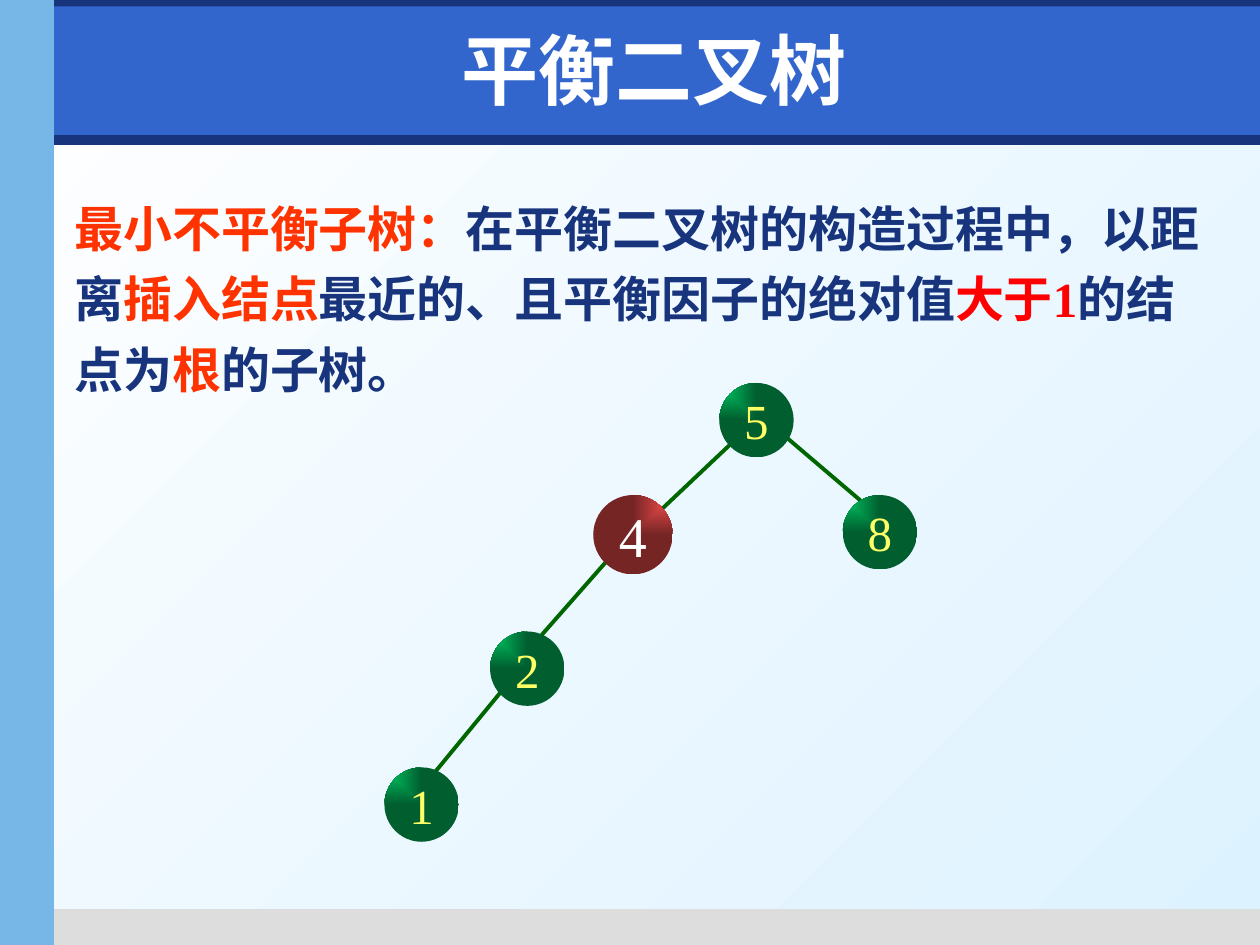
"""Build a slide defining the smallest unbalanced subtree of a balanced binary tree."""
import pptx
import pptx.dml.color
import pptx.enum.shapes
import pptx.enum.text
import pptx.oxml
import pptx.oxml.ns
import pptx.util

Cm = pptx.util.Cm
Pt = pptx.util.Pt
RGBColor = pptx.dml.color.RGBColor
MSO_SHAPE = pptx.enum.shapes.MSO_SHAPE
qn = pptx.oxml.ns.qn

NAVY = RGBColor(0x17, 0x34, 0x7D)
BLUE = RGBColor(0x33, 0x66, 0xCC)
SKY = RGBColor(0x77, 0xB7, 0xE7)
PALE = RGBColor(0xDD, 0xF2, 0xFF)
GRAY = RGBColor(0xDD, 0xDD, 0xDD)
WHITE = RGBColor(0xFF, 0xFF, 0xFF)
ORANGE = RGBColor(0xFF, 0x33, 0x00)
RED = RGBColor(0xFF, 0x00, 0x00)
YELLOW = RGBColor(0xFF, 0xFF, 0x66)
EDGE_GREEN = RGBColor(0x00, 0x66, 0x00)
LIGHT_GREEN = RGBColor(0x00, 0xCC, 0x66)
DARK_GREEN = RGBColor(0x00, 0x5E, 0x2F)
LIGHT_RED = RGBColor(0xFF, 0x50, 0x50)
DARK_RED = RGBColor(0x76, 0x25, 0x25)
CJK = "Noto Sans CJK SC"
SERIF = "Times New Roman"


def style_span(span, size, color, latin, bold):
    font = span.font
    font.size, font.bold, font.name = Pt(size), bold, latin
    font.color.rgb = color
    east = pptx.oxml.parse_xml(f'<a:ea {pptx.oxml.ns.nsdecls("a")} typeface="{CJK}"/>')
    font._element.find(qn("a:latin")).addnext(east)


def blend(fill, start, end):
    fill.gradient()
    for stop, color, position in zip(fill.gradient_stops, (start, end), (0, 1)):
        stop.color.rgb = color
        stop.position = position


deck = pptx.Presentation()
deck.slide_width, deck.slide_height = Cm(25.4), Cm(19.05)
page = deck.slides.add_slide(deck.slide_layouts[6])
blend(page.background.fill, WHITE, PALE)
page.background.fill.gradient_angle = 315

bars = [
    (0.1, 2.72, 25.3, 0.2, NAVY),
    (0.9, 18.33, 24.5, 0.72, GRAY),
    (0, 0, 25.4, 0.53, NAVY),
    (1.09, 0.13, 24.31, 2.59, BLUE),
    (0, 0, 1.09, 19.05, SKY),
]
for left, top, width, height, color in bars:
    bar = page.shapes.add_shape(MSO_SHAPE.RECTANGLE, Cm(left), Cm(top), Cm(width), Cm(height))
    bar.shadow.inherit = False
    bar.fill.solid()
    bar.fill.fore_color.rgb = color
    bar.line.fill.background()

definition = page.shapes.add_textbox(Cm(1.5), Cm(3.63), Cm(23.01), Cm(4.52))
frame = definition.text_frame
frame.word_wrap = True
frame.margin_left = frame.margin_right = 0
para = frame.paragraphs[0]
para.line_spacing = 1.2
for text, color, latin in [
    ("最小不平衡子树：", ORANGE, "Arial"),
    ("在平衡二叉树的构造过程中，", NAVY, SERIF),
    ("以距离", NAVY, CJK),
    ("插入结点", ORANGE, CJK),
    ("最近的、且平衡因子的绝对值", NAVY, CJK),
    ("大于", RED, CJK),
    ("1", RED, SERIF),
    ("的结点为", NAVY, CJK),
    ("根", ORANGE, CJK),
    ("的子树。", NAVY, CJK),
]:
    span = para.add_run()
    span.text = text
    style_span(span, 28, color, latin, True)

edges = [
    (14.71, 8.97, 13.26, 10.34),
    (12.24, 11.3, 10.92, 12.8),
    (15.88, 8.84, 17.37, 10.11),
    (10.08, 13.97, 8.74, 15.6),
]
for ends in edges:
    edge = page.shapes.add_connector(pptx.enum.shapes.MSO_CONNECTOR.STRAIGHT, *map(Cm, ends))
    edge.line.color.rgb = EDGE_GREEN
    edge.line.width = Pt(2.25)
    edge._element.spPr.append(pptx.oxml.parse_xml(f'<a:effectLst {pptx.oxml.ns.nsdecls("a")}/>'))

green = (LIGHT_GREEN, DARK_GREEN, YELLOW, 28, 1.5, 'r="100000"')
red = (LIGHT_RED, DARK_RED, WHITE, 32, 1.6, 'l="100000"')
nodes = [
    ("5", 14.5, 7.72, green),
    ("2", 9.88, 12.73, green),
    ("8", 16.99, 9.98, green),
    ("1", 7.75, 15.47, green),
    ("4", 11.96, 9.98, red),
]
for label, left, top, (light, dark, ink, size, diameter, side) in nodes:
    node = page.shapes.add_shape(MSO_SHAPE.OVAL, Cm(left), Cm(top), Cm(diameter), Cm(diameter))
    node.shadow.inherit = False
    node.line.fill.background()
    blend(node.fill, light, dark)
    linear = node._element.spPr.find(qn("a:gradFill")).find(qn("a:lin"))
    focus = pptx.oxml.parse_xml(
        f'<a:path {pptx.oxml.ns.nsdecls("a")} path="rect"><a:fillToRect {side} b="100000"/></a:path>'
    )
    linear.getparent().replace(linear, focus)
    frame = node.text_frame
    frame.text = label
    frame.word_wrap = False
    frame.vertical_anchor = pptx.enum.text.MSO_ANCHOR.MIDDLE
    para = frame.paragraphs[0]
    para.alignment = pptx.enum.text.PP_ALIGN.CENTER
    style_span(para.runs[0], size, ink, SERIF, False)

title = page.shapes.add_textbox(Cm(1.5), Cm(0.33), Cm(23.39), Cm(2.21))
title.text_frame.word_wrap = True
title.text_frame.text = "平衡二叉树"
para = title.text_frame.paragraphs[0]
para.alignment = pptx.enum.text.PP_ALIGN.CENTER
style_span(para.runs[0], 44, WHITE, "DejaVu Sans", True)

deck.save("out.pptx")
